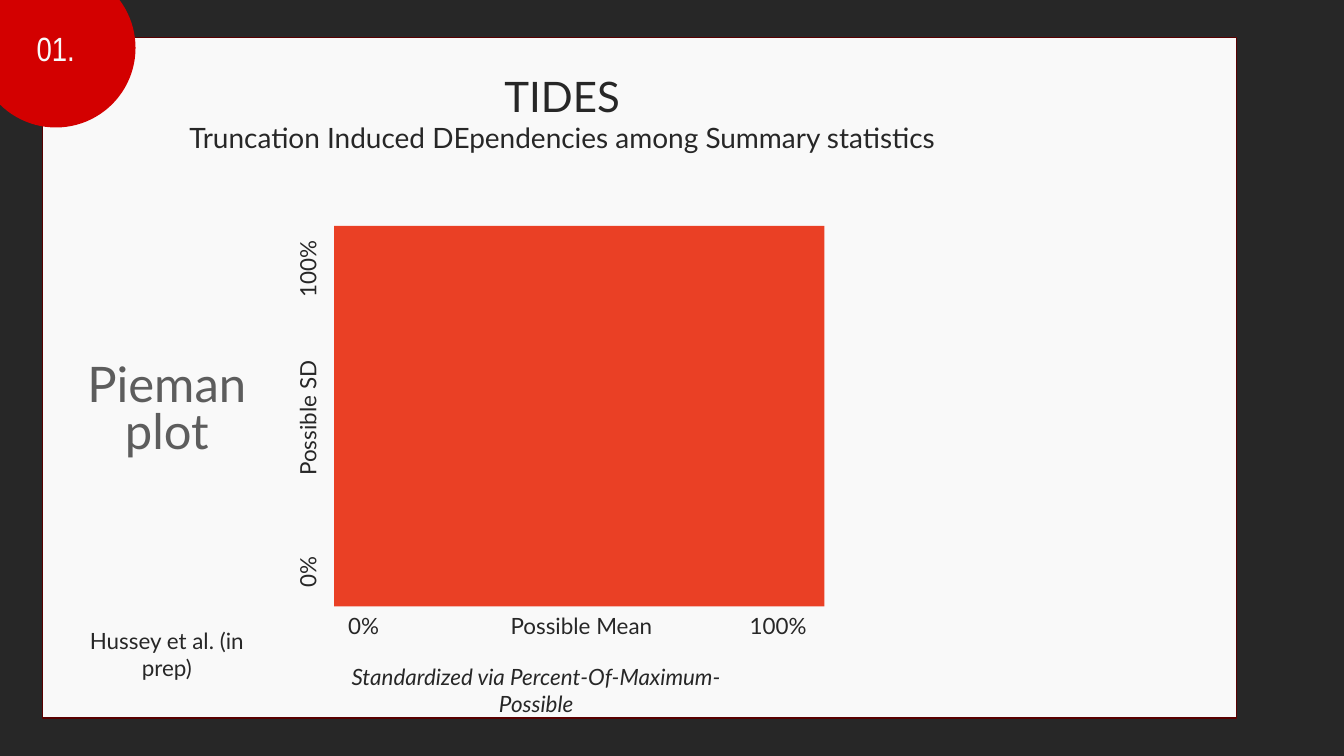
from lxml.etree import SubElement
from pptx import Presentation
from pptx.dml.color import RGBColor
from pptx.enum.shapes import MSO_SHAPE
from pptx.enum.text import MSO_ANCHOR, PP_ALIGN
from pptx.oxml.ns import qn
from pptx.util import Pt

EMU_PER_PX = 9144
COLORS = {
    "dark": "272727",
    "paper": "F9F9F9",
    "paper_edge": "590000",
    "badge": "D30000",
    "plot": "EA4025",
    "grey": "5D5D5D",
}


class SlideBuilder:
    """Draws styled elements on one slide, with lengths in px."""

    def __init__(self, slide):
        self.slide = slide

    def lengths(self, *values):
        return [value * EMU_PER_PX for value in values]

    def color(self, name):
        return RGBColor.from_string(COLORS[name])

    def background(self, color):
        fill = self.slide.background.fill
        fill.solid()
        fill.fore_color.rgb = self.color(color)

    def shape(self, kind, box, color, edge=None):
        shape = self.slide.shapes.add_shape(kind, *self.lengths(*box))
        shape.shadow.inherit = False
        shape.fill.solid()
        shape.fill.fore_color.rgb = self.color(color)
        if edge:
            shape.line.color.rgb = self.color(edge)
            shape.line.width = Pt(2)
        else:
            shape.line.fill.background()

    def style(self, paragraph, size, color="dark", font="Lato", italic=None):
        paragraph.font.size = Pt(size)
        paragraph.font.name = font
        paragraph.font.italic = italic
        paragraph.font.color.rgb = self.color(color)

    def text(self, box, lines, anchor=MSO_ANCHOR.TOP):
        frame = self.slide.shapes.add_textbox(*self.lengths(*box)).text_frame
        frame.word_wrap = True
        frame.vertical_anchor = anchor
        for index, (text, style) in enumerate(lines):
            paragraph = frame.add_paragraph() if index else frame.paragraphs[0]
            paragraph.text = text
            paragraph.alignment = PP_ALIGN.CENTER
            self.style(paragraph, **style)
        return frame

    def axis(self, box, labels, middle, end, rotation=0):
        shape = self.slide.shapes.add_textbox(*self.lengths(*box))
        shape.rotation = rotation
        shape.text_frame.word_wrap = True
        paragraph = shape.text_frame.paragraphs[0]
        paragraph.text = "\t".join(labels)
        paragraph.alignment = PP_ALIGN.LEFT
        properties = paragraph._p.get_or_add_pPr()
        tabs = SubElement(properties, qn("a:tabLst"))
        for position, alignment in ((middle, "ctr"), (end, "r")):
            SubElement(tabs, qn("a:tab"), pos=str(position * EMU_PER_PX), algn=alignment)
        self.style(paragraph, 32)


def main():
    presentation = Presentation()
    presentation.slide_width = 2667 * EMU_PER_PX
    presentation.slide_height = 1500 * EMU_PER_PX
    builder = SlideBuilder(presentation.slides.add_slide(presentation.slide_layouts[6]))

    builder.background("dark")
    builder.shape(MSO_SHAPE.RECTANGLE, (84, 74, 2370, 1351), "paper", "paper_edge")
    builder.shape(MSO_SHAPE.OVAL, (-47, -63, 316, 316), "badge")
    builder.text((221, 135, 1789, 1097), [
        ("TIDES", {"size": 60}),
        ("Truncation Induced DEpendencies among Summary statistics", {"size": 40}),
    ])
    builder.text(
        (9, 45, 203, 101),
        [("01.", {"size": 48, "color": "paper", "font": "Arial Narrow"})],
        MSO_ANCHOR.MIDDLE,
    )

    plot_name = {"size": 70, "color": "grey"}
    caption = builder.text((131, 719, 400, 641), [
        ("Pieman", plot_name),
        ("plot", plot_name),
        ("Hussey et al. (in prep)", {"size": 32}),
    ])
    for paragraph in caption.paragraphs[:2]:
        paragraph.line_spacing = 0.8
    caption.paragraphs[2].space_before = Pt(240)

    builder.shape(MSO_SHAPE.RECTANGLE, (663, 448, 973, 755), "plot")
    builder.axis((681, 1210, 934, 73), ("0%", "Possible Mean", "100%"), 463, 910)
    builder.axis((259, 783, 712, 73), ("0%", "Possible SD", "100%"), 336, 689, 270)
    builder.text((679, 1311, 770, 73), [
        ("Standardized via Percent-Of-Maximum-Possible", {"size": 32, "italic": True}),
    ])

    presentation.save("out.pptx")


if __name__ == "__main__":
    main()
